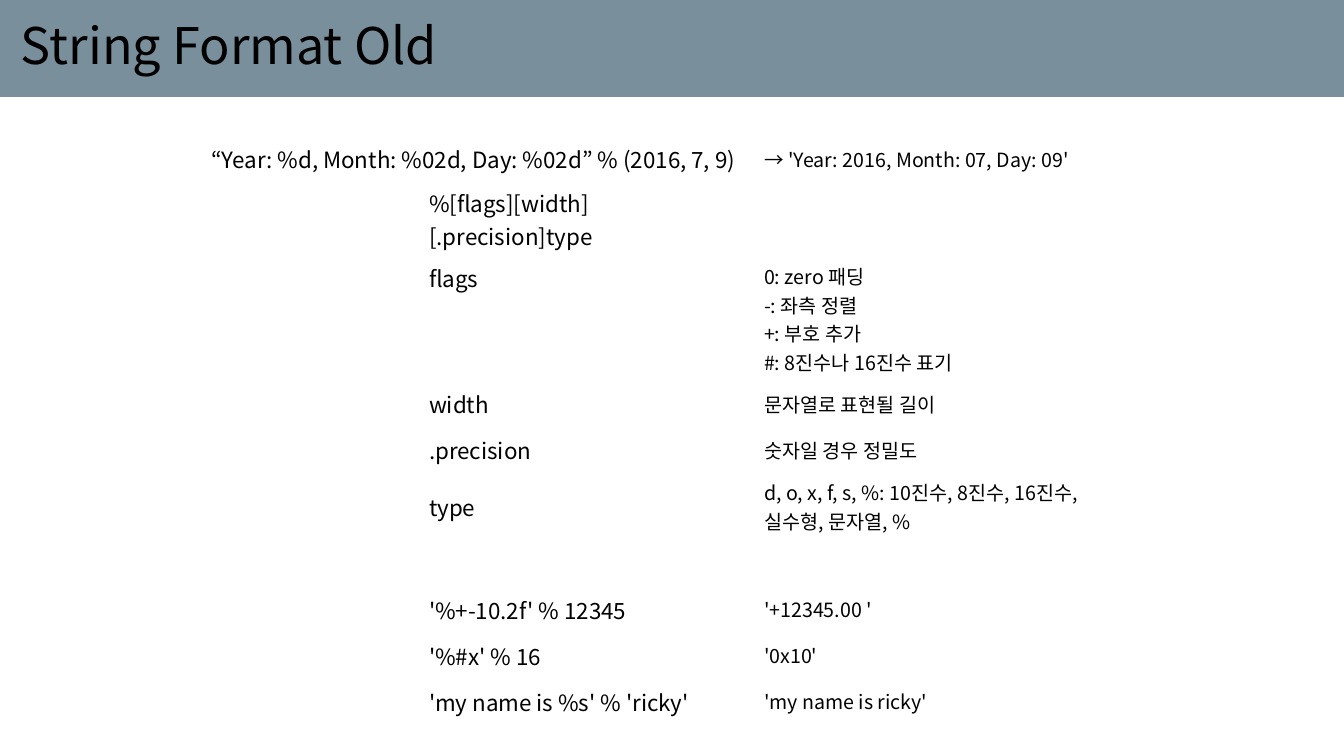
from lxml import etree
from pptx import Presentation
from pptx.dml.color import RGBColor
from pptx.enum.text import MSO_ANCHOR, PP_ALIGN
from pptx.oxml.ns import qn
from pptx.util import Pt

TITLE = "String Format Old"
# (pattern, explanation) for each table row
ROWS = [
    ("“Year: %d, Month: %02d, Day: %02d” % (2016, 7, 9)",
     "→ 'Year: 2016, Month: 07, Day: 09'"),
    ("%[flags][width][.precision]type", ""),
    ("flags", "0: zero 패딩\n-: 좌측 정렬\n+: 부호 추가\n#: 8진수나 16진수 표기"),
    ("width", "문자열로 표현될 길이"),
    (".precision", "숫자일 경우 정밀도"),
    ("type", "d, o, x, f, s, %: 10진수, 8진수, 16진수, 실수형, 문자열, %"),
    ("", ""),
    ("'%+-10.2f' % 12345", "'+12345.00 '"),
    ("'%#x' % 16", "'0x10'"),
    ("'my name is %s' % 'ricky'", "'my name is ricky'"),
]
EXAMPLE_ROW, FLAGS_ROW = 0, 2

PX = 914400 / 100.8
SLIDE_W, SLIDE_H = 1344, 756
TITLE_H, TITLE_INSET = 97, 21
TABLE_X, TABLE_Y = 201, 136
COL_WIDTHS = [218, 335, 389]
ROW_H, FLAGS_H = 46, 117

FONT = "Noto Sans CJK KR"
BLACK = RGBColor(0x00, 0x00, 0x00)
SLATE = RGBColor(0x79, 0x90, 0x9C)
MIDDLE, TOP, LEFT = MSO_ANCHOR.MIDDLE, MSO_ANCHOR.TOP, PP_ALIGN.LEFT


def px(n):
    return round(n * PX)


def write(tf, text, size, spacing=None):
    """Fill a text frame, one paragraph per line of text."""
    for i, line in enumerate(text.split("\n")):
        p = tf.add_paragraph() if i else tf.paragraphs[0]
        p.alignment = LEFT
        if spacing:
            p.line_spacing = spacing
        r = p.add_run()
        r.text = line
        r.font.size = Pt(size)
        r.font.color.rgb = BLACK
        r.font.name = FONT
        etree.SubElement(r.font._element, qn("a:ea"), typeface=FONT)


def add_title(s):
    title = s.shapes.title
    title.left, title.top = 0, 0
    title.width, title.height = px(SLIDE_W), px(TITLE_H)
    title.fill.solid()
    title.fill.fore_color.rgb = SLATE
    tf = title.text_frame
    tf.vertical_anchor = MIDDLE
    tf.margin_left = px(TITLE_INSET)
    write(tf, TITLE, 36, spacing=0.9)


def add_format_table(s):
    heights = [FLAGS_H if i == FLAGS_ROW else ROW_H for i in range(len(ROWS))]
    table = s.shapes.add_table(
        len(ROWS), len(COL_WIDTHS), px(TABLE_X), px(TABLE_Y),
        px(sum(COL_WIDTHS)), px(sum(heights))).table
    table.first_row = table.horz_banding = False
    for col, width in zip(table.columns, COL_WIDTHS):
        col.width = px(width)
    for row, height in zip(table.rows, heights):
        row.height = px(height)
    for cell in table.iter_cells():
        cell.fill.background()
    table.cell(EXAMPLE_ROW, 0).merge(table.cell(EXAMPLE_ROW, 1))

    for i, (pattern, explanation) in enumerate(ROWS):
        pattern_col = 0 if i == EXAMPLE_ROW else 1
        for col, text, size in ((pattern_col, pattern, 16), (2, explanation, 14)):
            if text:
                cell = table.cell(i, col)
                cell.vertical_anchor = TOP if i == FLAGS_ROW else MIDDLE
                write(cell.text_frame, text, size)


def main():
    prs = Presentation()
    prs.slide_width, prs.slide_height = px(SLIDE_W), px(SLIDE_H)
    s = prs.slides.add_slide(prs.slide_layouts[5])
    add_title(s)
    add_format_table(s)
    prs.save("out.pptx")


if __name__ == "__main__":
    main()
